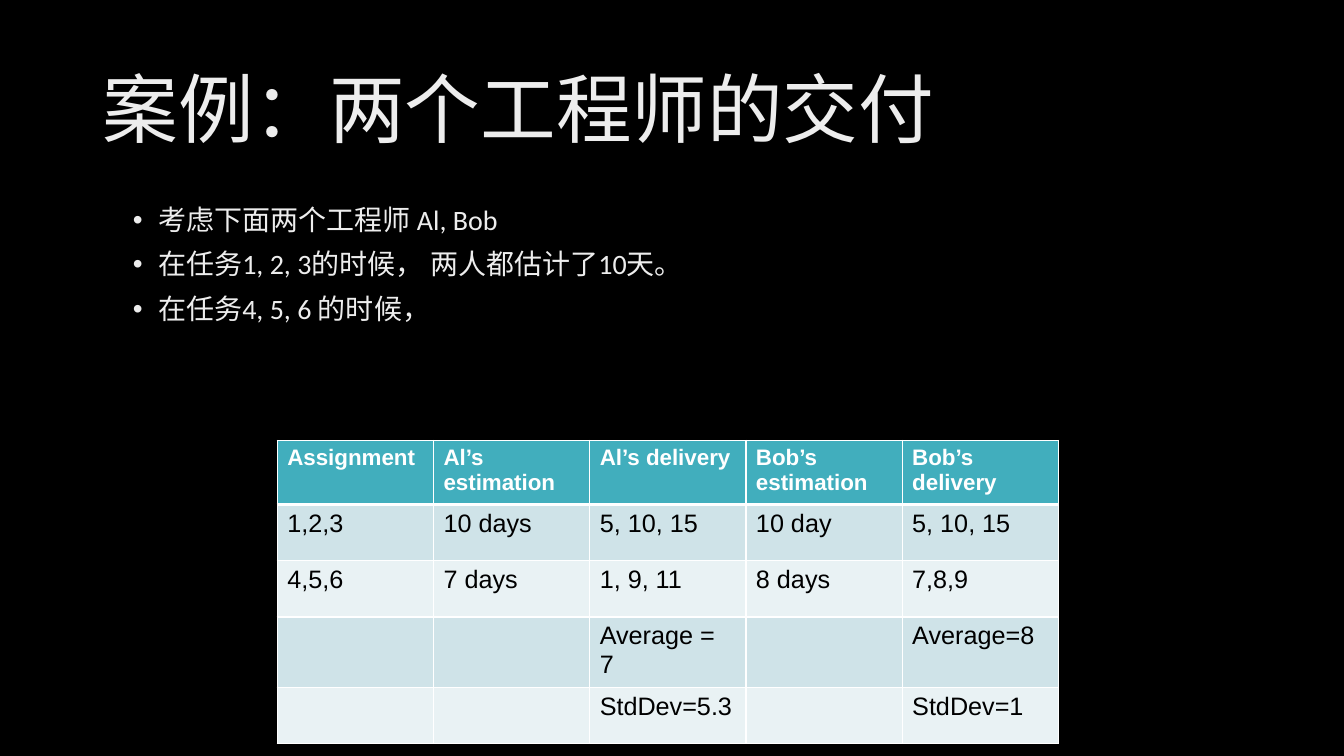
"""Build the slide on the delivery records of two engineers."""
from lxml import etree
from pptx import Presentation
from pptx.dml import color
from pptx.enum import text
from pptx.oxml import ns
from pptx.util import Pt

TITLE = "案例：两个工程师的交付"
BULLETS = [
    "考虑下面两个工程师 Al, Bob",
    "在任务1, 2, 3的时候， 两人都估计了10天。",
    "在任务4, 5, 6 的时候，",
]
ROWS = [
    ["Assignment", "Al’s estimation", "Al’s delivery", "Bob’s estimation", "Bob’s delivery"],
    ["1,2,3", "10 days", "5, 10, 15", "10 day", "5, 10, 15"],
    ["4,5,6", "7 days", "1, 9, 11", "8 days", "7,8,9"],
    ["", "", "Average = 7", "", "Average=8"],
    ["", "", "StdDev=5.3", "", "StdDev=1"],
]
BAND_FILLS = ["E9F2F4", "CFE3E8"]


def rgb(value):
    """Turn a hex string into a colour."""
    return color.RGBColor.from_string(value)


def add_run(paragraph, words, font_name, size, hex_color, bold=False):
    """Add one formatted run to a paragraph."""
    run = paragraph.add_run()
    run.text = words
    run.font.name = font_name
    run.font.size = Pt(size)
    run.font.bold = bold
    run.font.color.rgb = rgb(hex_color)


presentation = Presentation()
presentation.slide_width, presentation.slide_height = Pt(960), Pt(540)
slide = presentation.slides.add_slide(presentation.slide_layouts[5])
slide.background.fill.solid()
slide.background.fill.fore_color.rgb = rgb("000000")

title = slide.shapes.title
title.left, title.top, title.width, title.height = Pt(66), Pt(28.75), Pt(828), Pt(104.4)
title.text_frame.auto_size = text.MSO_AUTO_SIZE.NONE
title.text_frame.vertical_anchor = text.MSO_ANCHOR.MIDDLE
title_paragraph = title.text_frame.paragraphs[0]
title_paragraph.alignment = text.PP_ALIGN.LEFT
title_paragraph.line_spacing = 0.9
add_run(title_paragraph, TITLE, "Calibri", 54, "EDEDED")

body = slide.shapes.add_textbox(Pt(87.84), Pt(144), Pt(805.68), Pt(342.72))
body.text_frame.word_wrap = True
for index, words in enumerate(BULLETS):
    paragraph = body.text_frame.paragraphs[0] if index == 0 else body.text_frame.add_paragraph()
    paragraph.line_spacing = 0.9
    paragraph.space_before = Pt(10)
    properties = paragraph._p.get_or_add_pPr()
    properties.set("marL", str(Pt(18)))
    properties.set("indent", str(Pt(-18)))
    etree.SubElement(properties, ns.qn("a:buFont"), typeface="Arial")
    etree.SubElement(properties, ns.qn("a:buChar"), char="•")
    add_run(paragraph, words, "Calibri", 20, "EDEDED")

table = slide.shapes.add_table(
    len(ROWS), len(ROWS[0]), Pt(198), Pt(314.64), Pt(558), Pt(202)
).table
for row_index, row in enumerate(ROWS):
    is_header = row_index == 0
    table.rows[row_index].height = Pt(41 if is_header else 40.25)
    for column_index, words in enumerate(row):
        cell = table.cell(row_index, column_index)
        cell_properties = cell._tc.get_or_add_tcPr()
        for side in ("lnL", "lnR", "lnT", "lnB"):
            is_thick = (row_index, side) in ((0, "lnB"), (1, "lnT"))
            border = etree.SubElement(
                cell_properties, ns.qn("a:" + side), w=str(Pt(3 if is_thick else 1))
            )
            border_fill = etree.SubElement(border, ns.qn("a:solidFill"))
            etree.SubElement(border_fill, ns.qn("a:srgbClr"), val="FFFFFF")
        cell.fill.solid()
        cell.fill.fore_color.rgb = rgb("41AEBD" if is_header else BAND_FILLS[row_index % 2])
        if words:
            add_run(
                cell.text_frame.paragraphs[0], words, "Arial",
                16 if is_header else 18, "FFFFFF" if is_header else "000000", is_header,
            )

presentation.save("out.pptx")
